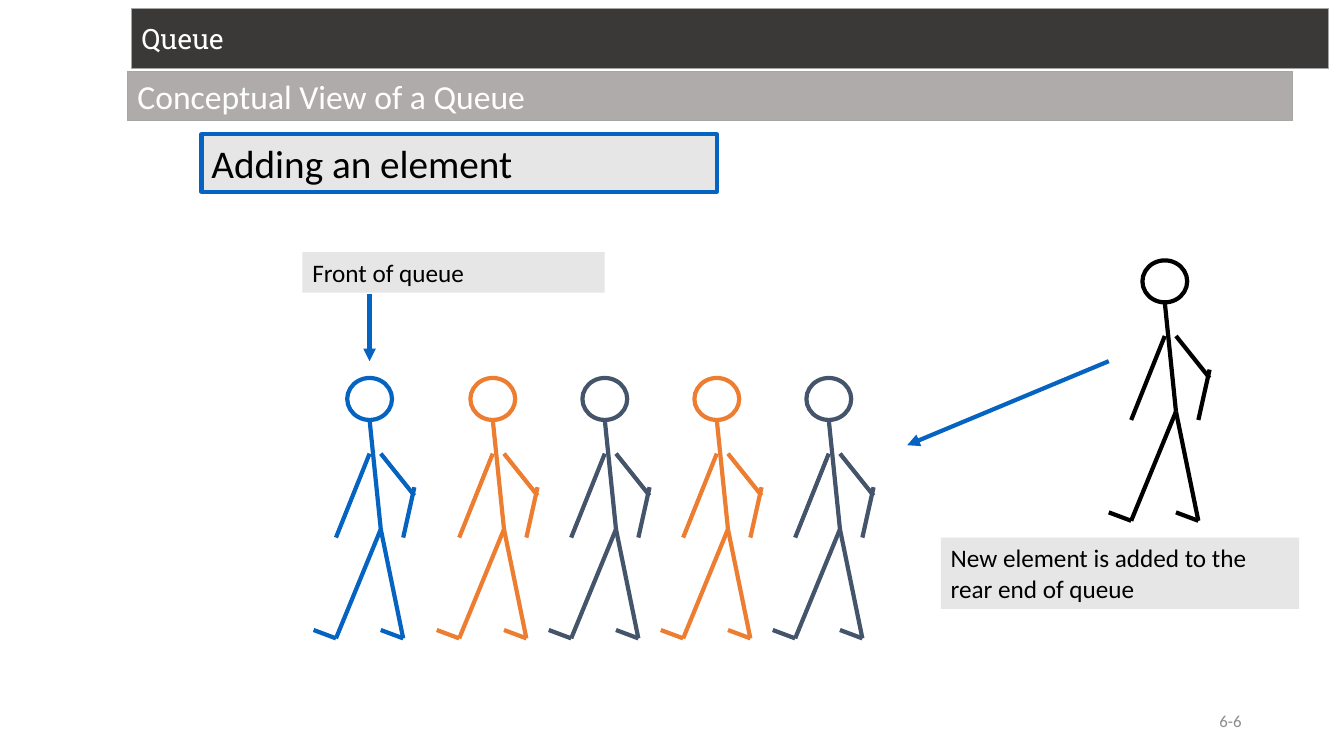
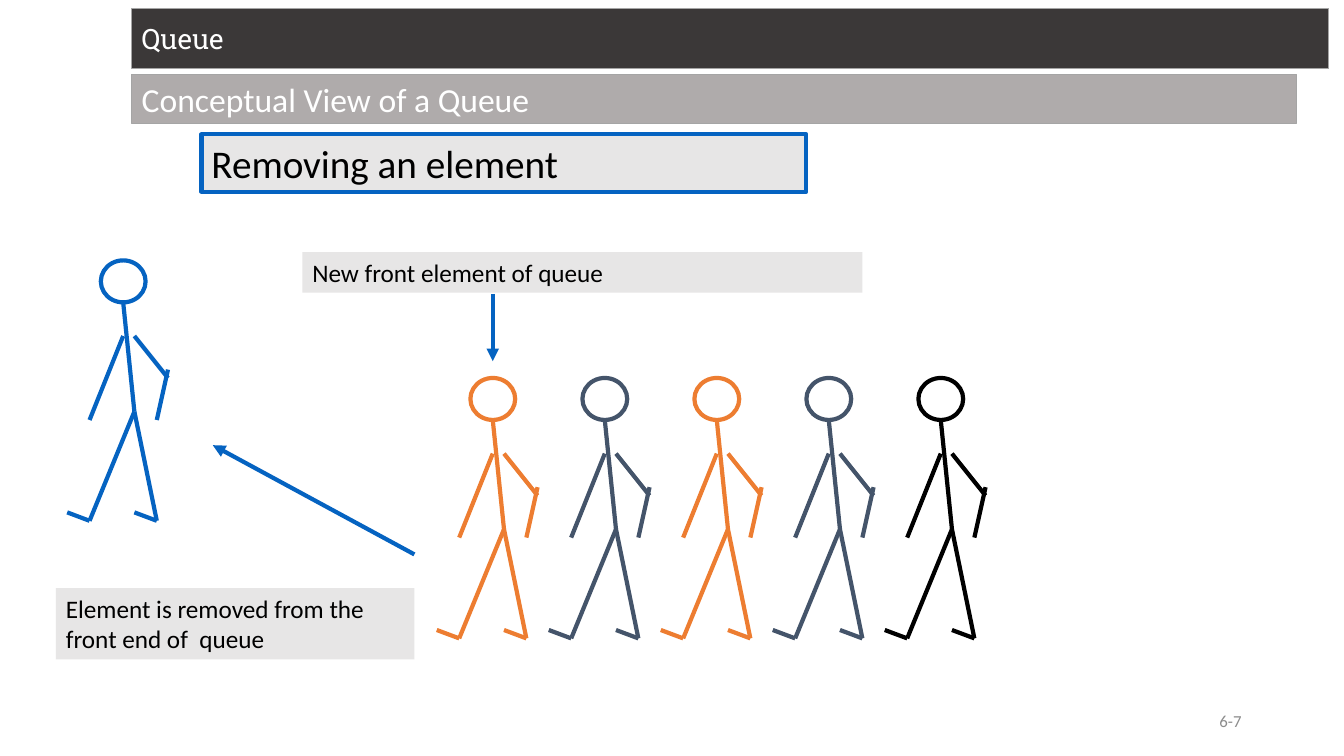
from lxml.etree import SubElement
from pptx import Presentation
from pptx.dml.color import RGBColor
from pptx.enum.shapes import MSO_CONNECTOR, MSO_SHAPE
from pptx.enum.text import MSO_ANCHOR, MSO_AUTO_SIZE, PP_ALIGN
from pptx.oxml.ns import qn
from pptx.util import Pt

SCALE = 12700  # EMU per px, on a page of 960 by 540 px
BLUE, ORANGE, SLATE, BLACK = "0563C1", "ED7D31", "44546A", "000000"
WHITE, PALE, DARK, MIDDLE, EDGE, MUTED = "FFFFFF", "E7E6E6", "3B3838", "AFABAB", "A5A5A5", "8C8C8C"

# Walking figure, measured from the top left corner of its head
HEAD_WIDTH, HEAD_HEIGHT = 32, 30
LIMBS = [
    ((16, 30), (24, 108)),   # trunk
    ((24, 108), (-8, 186)),  # legs
    ((24, 108), (40, 186)),
    ((-8, 186), (-24, 180)),  # feet
    ((40, 186), (24, 180)),
    ((16, 54), (-8, 114)),   # arms
    ((24, 54), (48, 84)),
    ((48, 78), (40, 114)),
]
QUEUE_TOP, OUTSIDE_TOP = 270, 186
SECOND_LEFT, STEP = 336, 80
FOLLOWERS = [(SECOND_LEFT + STEP * place, QUEUE_TOP, colour)
             for place, colour in enumerate([ORANGE, SLATE, ORANGE, SLATE])]

PAGES = [
    {
        "number": "6-6",
        "subtitle_at": (91, 51, 832, 35),
        "people": [(248, QUEUE_TOP, BLUE), *FOLLOWERS, (816, OUTSIDE_TOP, BLACK)],
        "heading": ("Adding an element", (144, 96, 368, 41)),
        "labels": [
            ("Front of queue", (216, 180, 216, 29)),
            ("New element is added to the rear end of queue", (672, 384, 256, 51)),
        ],
        "arrows": [((264, 210), (264, 258)), ((792, 258), (648, 318))],
    },
    {
        "number": "6-7",
        "subtitle_at": (94, 53, 832, 35),
        "people": [*FOLLOWERS, (SECOND_LEFT + STEP * 4, QUEUE_TOP, BLACK), (72, OUTSIDE_TOP, BLUE)],
        "heading": ("Removing an element", (144, 96, 432, 41)),
        "labels": [
            ("New front element of queue", (216, 180, 400, 29)),
            ("Element is removed from the front end of  queue", (40, 420, 256, 51)),
        ],
        "arrows": [((352, 210), (352, 258)), ((296, 396), (152, 318))],
    },
]


def write(box, text, at, size=18, color=BLACK, font="Calibri", fill=None, line=None,
          line_width=3, align=PP_ALIGN.LEFT, anchor=MSO_ANCHOR.MIDDLE):
    """Place a box, paint it and fill it with one paragraph."""
    box.left, box.top, box.width, box.height = (value * SCALE for value in at)
    box.shadow.inherit = False
    if fill:
        box.fill.solid()
        box.fill.fore_color.rgb = RGBColor.from_string(fill)
    if line:
        box.line.color.rgb = RGBColor.from_string(line)
        box.line.width = Pt(line_width)
    else:
        box.line.fill.background()
    frame = box.text_frame
    frame.text = text
    frame.word_wrap = True
    frame.auto_size = MSO_AUTO_SIZE.NONE
    frame.vertical_anchor = anchor
    para = frame.paragraphs[0]
    para.alignment = align
    para.space_before = Pt(0)
    span = para.runs[0]
    span.font.name = font
    span.font.size = Pt(size)
    span.font.color.rgb = RGBColor.from_string(color)


def draw_line(page, start, end, color, arrow=False):
    connector = page.shapes.add_connector(
        MSO_CONNECTOR.STRAIGHT, *(value * SCALE for value in (*start, *end)))
    connector.line.color.rgb = RGBColor.from_string(color)
    connector.line.width = Pt(3)
    properties = connector._element.spPr
    SubElement(properties, qn("a:effectLst"))
    if arrow:
        SubElement(properties.find(qn("a:ln")), qn("a:tailEnd"), type="triangle")


deck = Presentation()
deck.slide_width, deck.slide_height = 960 * SCALE, 540 * SCALE

for content in PAGES:
    page = deck.slides.add_slide(deck.slide_layouts[1])
    write(page.shapes.title, "Queue", (94, 6, 855, 43), size=20, color=WHITE,
          font="Roboto Slab", fill=DARK, line=EDGE, line_width=0.5)
    subtitle = page.placeholders[1]
    write(subtitle, "Conceptual View of a Queue", content["subtitle_at"], size=24,
          color=WHITE, fill=MIDDLE, line=EDGE, line_width=0.5)
    paragraph_properties = subtitle.text_frame.paragraphs[0]._p.get_or_add_pPr()
    paragraph_properties.set("marL", "0")
    paragraph_properties.set("indent", "0")
    SubElement(paragraph_properties, qn("a:buNone"))

    number = page.shapes.add_textbox(0, 0, 0, 0)
    write(number, content["number"], (678, 500, 216, 29), size=12, color=MUTED,
          align=PP_ALIGN.RIGHT)

    for left, top, color in content["people"]:
        head = page.shapes.add_shape(
            MSO_SHAPE.OVAL, *(value * SCALE for value in (left, top, HEAD_WIDTH, HEAD_HEIGHT)))
        head.shadow.inherit = False
        head.fill.background()
        head.line.color.rgb = RGBColor.from_string(color)
        head.line.width = Pt(3)
        for (x1, y1), (x2, y2) in LIMBS:
            draw_line(page, (left + x1, top + y1), (left + x2, top + y2), color)

    heading, heading_at = content["heading"]
    box = page.shapes.add_shape(MSO_SHAPE.RECTANGLE, 0, 0, 0, 0)
    write(box, heading, heading_at, size=28, fill=PALE, line=BLUE, anchor=MSO_ANCHOR.TOP)
    for label, label_at in content["labels"]:
        box = page.shapes.add_shape(MSO_SHAPE.RECTANGLE, 0, 0, 0, 0)
        write(box, label, label_at, fill=PALE, anchor=MSO_ANCHOR.TOP)
    for start, end in content["arrows"]:
        draw_line(page, start, end, BLUE, arrow=True)

deck.save("out.pptx")
